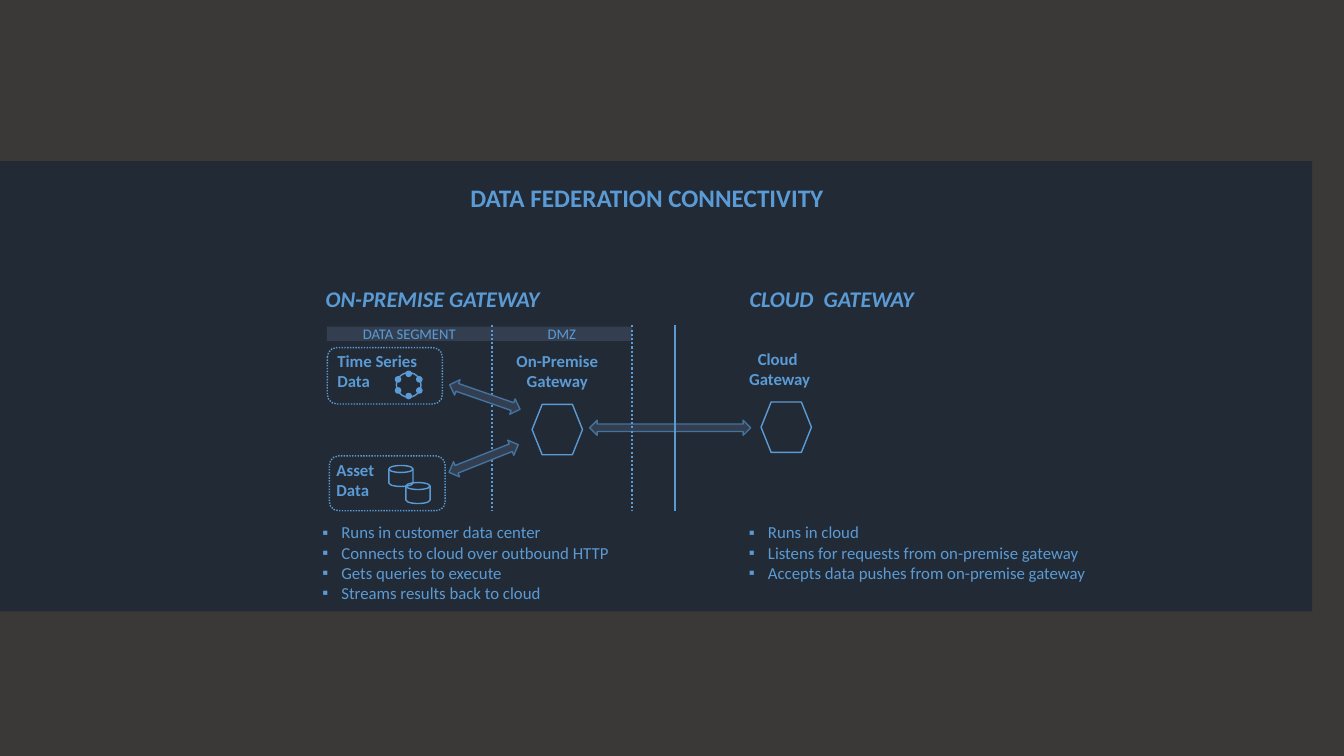
from math import cos, radians, sin

from lxml.etree import SubElement
from pptx import Presentation
from pptx.dml.color import RGBColor
from pptx.enum.dml import MSO_LINE
from pptx.enum.shapes import MSO_CONNECTOR, MSO_SHAPE as SHAPE
from pptx.enum.text import MSO_ANCHOR as ANCHOR, MSO_AUTO_SIZE as AUTO_SIZE, PP_ALIGN as ALIGN
from pptx.oxml.ns import qn
from pptx.util import Cm, Pt

COLORS = {
    "background": "3B3838",
    "panel": "222A35",
    "band": "333F50",
    "accent": "5B9BD5",
    "arrow_line": "43739E",
}
FONT = "Calibri"
LABEL = {"size": Pt(12), "bold": True}
HEADING = {"size": Pt(16), "bold": True, "italic": True}
TITLE = {"size": Pt(18), "bold": True}
BAND = {"size": Pt(10.5)}
LIST = {"size": Pt(12)}


def color(name):
    return RGBColor.from_string(COLORS[name])


def set_values(target, values):
    for name, value in values.items():
        setattr(target, name, value)


class SlideBuilder:
    def __init__(self, presentation):
        self.slide = presentation.slides.add_slide(presentation.slide_layouts[3])
        self.shapes = self.slide.shapes
        fill = self.slide.background.fill
        fill.solid()
        fill.fore_color.rgb = color("background")

    def set_text(self, shape, paragraphs, style, align=ALIGN.LEFT, wrap=True,
                 anchor=ANCHOR.TOP, bullet=None):
        frame = shape.text_frame
        frame.text = "\n".join(paragraphs)
        set_values(frame, {"word_wrap": wrap, "auto_size": AUTO_SIZE.NONE, "vertical_anchor": anchor})
        for paragraph in frame.paragraphs:
            if bullet:
                properties = paragraph._p.get_or_add_pPr()
                properties.set("marL", str(Cm(0.48)))
                properties.set("indent", str(-Cm(0.48)))
                SubElement(properties, qn("a:buFont"), typeface="Arial")
                SubElement(properties, qn("a:buChar"), char=bullet)
            set_values(paragraph, {"alignment": align, "space_before": Pt(0), "line_spacing": 1.0})
            for run in paragraph.runs:
                set_values(run.font, {"name": FONT, **style})
                run.font.color.rgb = color("accent")

    def placeholder(self, index, box, paragraphs, style, **options):
        shape = self.slide.placeholders[index]
        set_values(shape, dict(zip(("left", "top", "width", "height"), map(Cm, box))))
        self.set_text(shape, paragraphs, style, **options)

    def text(self, box, paragraphs, style, **options):
        self.set_text(self.shapes.add_textbox(*map(Cm, box)), paragraphs, style, **options)

    def shape(self, kind, box, fill=None, line="accent", dash=None, rotation=0, parent=None):
        shape = (parent or self).shapes.add_shape(kind, *map(Cm, box))
        shape.shadow.inherit = False
        shape.rotation = rotation
        for part, name in ((shape.fill, fill), (shape.line.fill, line)):
            if name:
                part.solid()
                part.fore_color.rgb = color(name)
            else:
                part.background()
        if line:
            set_values(shape.line, {"width": Pt(1), "dash_style": dash})
        return shape

    def panel(self, box):
        panel = self.shape(SHAPE.RECTANGLE, box, "panel", None)
        self.shapes.element.insert(2, panel.element)

    def band(self, box, text):
        band = self.shape(SHAPE.RECTANGLE, box, "band", None)
        self.set_text(band, [text], BAND, align=ALIGN.CENTER, anchor=ANCHOR.MIDDLE)

    def arrow(self, box, rotation=0):
        self.shape(SHAPE.LEFT_RIGHT_ARROW, box, "band", "arrow_line", rotation=rotation)

    def divider(self, x, dash=None):
        divider = self.shapes.add_connector(MSO_CONNECTOR.STRAIGHT, Cm(x), Cm(8.2), Cm(x), Cm(12.88))
        divider.line.color.rgb = color("accent")
        set_values(divider.line, {"width": Pt(1.5), "dash_style": dash})
        SubElement(divider.element.spPr, qn("a:effectLst"))

    def ring(self, x, y, radius=0.31, dot=0.13):
        group = self.shapes.add_group_shape()
        self.shape(SHAPE.OVAL, (x - radius, y - radius, 2 * radius, 2 * radius), parent=group)
        for angle in range(30, 390, 60):
            left = x + radius * cos(radians(angle)) - dot / 2
            top = y + 0.28 * sin(radians(angle)) - dot / 2
            self.shape(SHAPE.OVAL, (left, top, dot, dot), "accent", parent=group)


def main():
    presentation = Presentation()
    set_values(presentation, {"slide_width": Cm(33.87), "slide_height": Cm(19.05)})
    builder = SlideBuilder(presentation)
    dotted = MSO_LINE.ROUND_DOT

    builder.panel((0, 4.06, 33.07, 11.35))
    builder.placeholder(0, (10.03, 4.47, 12.55, 1.02), ["DATA FEDERATION CONNECTIVITY"],
                        TITLE, align=ALIGN.CENTER)
    builder.placeholder(1, (7.87, 13.03, 9.37, 2.31), [
        "Runs in customer data center",
        "Connects to cloud over outbound HTTP",
        "Gets queries to execute",
        "Streams results back to cloud",
    ], LIST, bullet="▪")
    builder.placeholder(2, (18.62, 13.03, 10.46, 1.8), [
        "Runs in cloud",
        "Listens for requests from on-premise gateway",
        "Accepts data pushes from on-premise gateway",
    ], LIST, bullet="▪")

    builder.text((7.92, 7.06, 5.97, 0.94), ["ON-PREMISE GATEWAY"], HEADING,
                 align=ALIGN.CENTER, wrap=False)
    builder.text((18.64, 7.06, 6.65, 0.94), ["CLOUD  GATEWAY"], HEADING)

    builder.band((12.39, 8.23, 3.54, 0.36), "DMZ")
    builder.band((8.24, 8.23, 4.15, 0.36), "DATA SEGMENT")
    builder.arrow((14.86, 10.59, 4.06, 0.38))

    for box in ((8.25, 8.76, 2.9, 1.42), (8.3, 11.49, 2.92, 1.38)):
        builder.shape(SHAPE.ROUNDED_RECTANGLE, box, dash=dotted)
    builder.text((8.25, 8.71, 2.9, 1.27), ["Time Series", "Data"], LABEL)
    builder.text((8.23, 11.46, 1.55, 1.27), ["Asset \vData"], LABEL, wrap=False)

    builder.ring(10.3, 9.7)
    for offset in (0, 0.43):
        builder.shape(SHAPE.FLOWCHART_MAGNETIC_DISK, (9.8 + offset, 11.73 + offset, 0.61, 0.53))

    for x, y in ((19.18, 10.13), (13.41, 10.19)):
        builder.shape(SHAPE.FLOWCHART_PREPARATION, (x, y, 1.27, 1.27))
    builder.text((18.62, 8.66, 2.06, 1.27), ["Cloud \vGateway"], LABEL,
                 align=ALIGN.CENTER, wrap=False)
    builder.text((12.75, 8.71, 2.59, 1.27), ["On-Premise\vGateway"], LABEL,
                 align=ALIGN.CENTER, wrap=False)

    builder.divider(17.02)
    for x in (12.39, 15.93):
        builder.divider(x, dotted)
    builder.arrow((11.25, 11.35, 1.88, 0.41), 338.3)
    builder.arrow((11.28, 9.8, 1.88, 0.41), 19.2)

    presentation.save("out.pptx")


if __name__ == "__main__":
    main()
